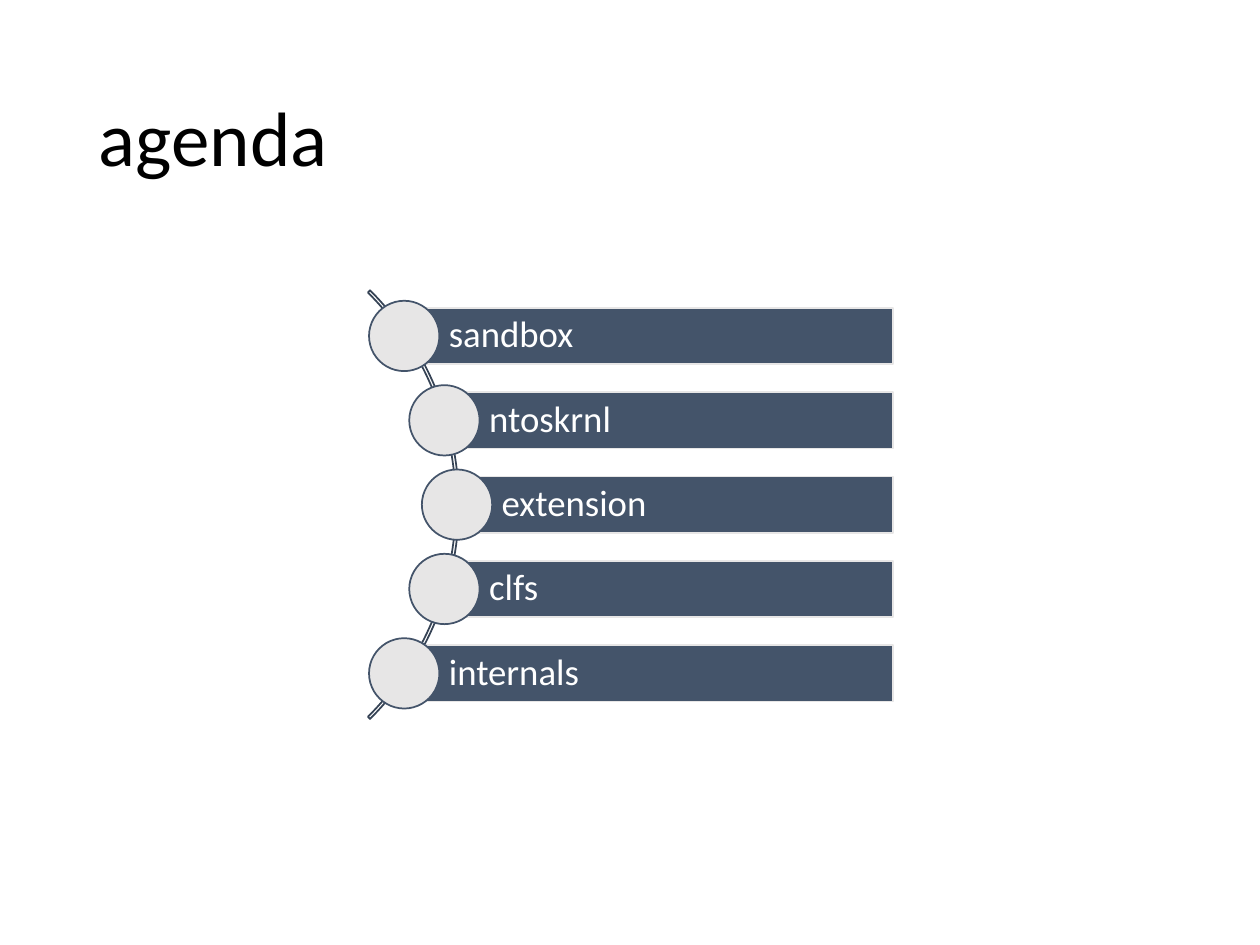
from pptx import Presentation
from pptx.dml.color import RGBColor
from pptx.enum.shapes import MSO_SHAPE
from pptx.enum.text import MSO_ANCHOR, PP_ALIGN
from pptx.util import Pt

ARC, BAR, DOT = MSO_SHAPE.BLOCK_ARC, MSO_SHAPE.RECTANGLE, MSO_SHAPE.OVAL
MIDDLE = MSO_ANCHOR.MIDDLE
LEFT = PP_ALIGN.LEFT


def rgb(value):
    return RGBColor.from_string(value)


class Deck:
    font = "Calibri"
    navy = "44546A"
    gray = "E7E6E6"
    arc_line = "364355"
    black = "000000"
    white = "FFFFFF"

    def __init__(self, width, height):
        self.prs = Presentation()
        self.prs.slide_width, self.prs.slide_height = Pt(width), Pt(height)
        self.s = self.prs.slides.add_slide(self.prs.slide_layouts[6])

    def set_text(self, sp, text, size, color, insets):
        tf = sp.text_frame
        tf.text = text
        tf.word_wrap = True
        tf.vertical_anchor = MIDDLE
        tf.margin_left, tf.margin_top, tf.margin_right, tf.margin_bottom = map(Pt, insets)
        p = tf.paragraphs[0]
        p.alignment = LEFT
        p.line_spacing = 0.9
        r = p.runs[0]
        r.font.name, r.font.size = self.font, Pt(size)
        r.font.color.rgb = rgb(color)

    def title(self, text, box):
        sp = self.s.shapes.add_textbox(*map(Pt, box))
        self.set_text(sp, text, 44, self.black, (7.2, 3.6, 7.2, 3.6))

    def shape(self, kind, box, line, fill=None):
        sp = self.s.shapes.add_shape(kind, *map(Pt, box))
        sp.shadow.inherit = False
        if fill:
            sp.fill.solid()
            sp.fill.fore_color.rgb = rgb(fill)
        else:
            sp.fill.background()
        sp.line.color.rgb = rgb(line)
        sp.line.width = Pt(1)
        return sp

    def arc(self, box):
        sp = self.shape(ARC, box, self.arc_line)
        for i, value in enumerate((189, 27, 0.005)):
            sp.adjustments[i] = value

    def bar(self, text, box):
        sp = self.shape(BAR, box, self.gray, self.navy)
        self.set_text(sp, text, 21, self.white, (25.5, 4.2, 4.2, 4.2))

    def dot(self, x, y, size):
        self.shape(DOT, (x - size / 2, y - size / 2, size, size), self.navy, self.gray)


def main():
    deck = Deck(720, 540)
    deck.title("agenda", (49.5, 28.75, 621, 104.4))
    deck.arc((-84.2, 115.2, 346.4, 346.4))

    topics = ("sandbox", "ntoskrnl", "extension", "clfs", "internals")
    lefts = (231, 254, 261.2, 254, 231)
    right, first, pitch, height = 510.3, 192, 48.2, 32.2
    for i, (topic, x) in enumerate(zip(topics, lefts)):
        y = first + i * pitch
        deck.bar(topic, (x, y - height / 2, right - x, height))
        deck.dot(x, y, 40.2)

    deck.prs.save("out.pptx")


if __name__ == "__main__":
    main()
